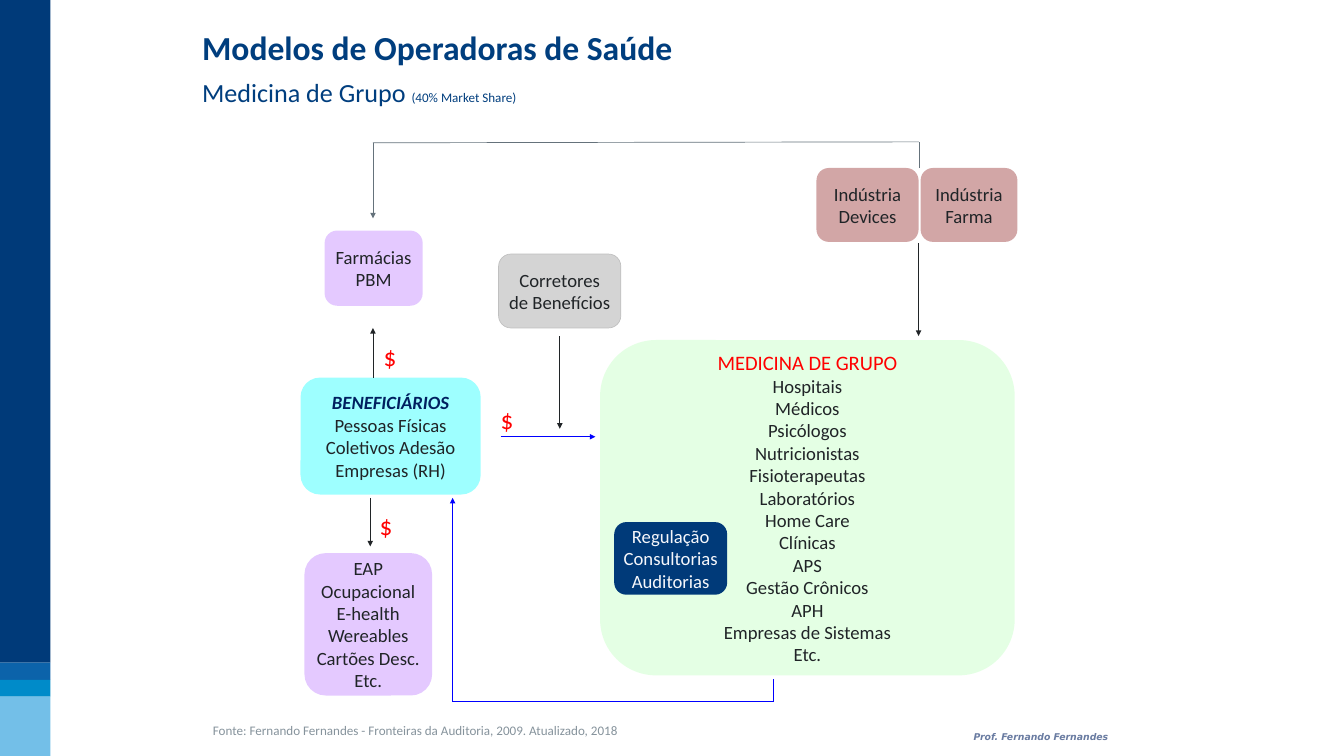
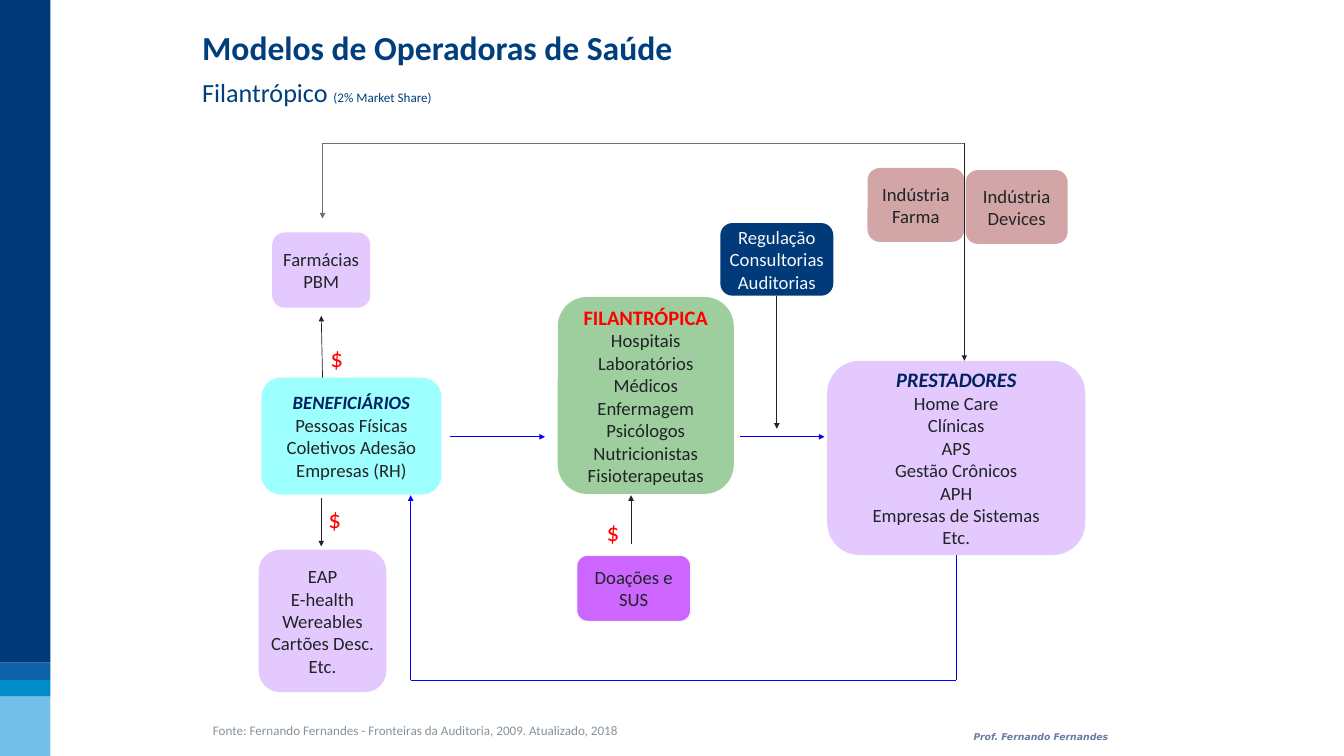
"""Build two slides on health plan operator models as flow diagrams."""
from lxml import etree
from pptx import Presentation
from pptx.dml.color import RGBColor
from pptx.enum.shapes import MSO_CONNECTOR as LINK, MSO_SHAPE as SHAPE
from pptx.enum.text import MSO_ANCHOR as ANCHOR, MSO_AUTO_SIZE as FIT, PP_ALIGN as ALIGN
from pptx.oxml.ns import qn
from pptx.util import Pt

NAVY, TITLE, DEEP = "003A79", "003E7E", "002060"
INK, PALE, GREY = "202427", "F6F7FB", "65727B"
RED, BLUE, LILAC, MAROON = "FF0000", "0000FF", "CC99FF", "800000"


def paint(fill, owner, color, opacity=100):
    fill.solid()
    fill.fore_color.rgb = RGBColor.from_string(color)
    if opacity < 100:
        tint = next(owner.iter(qn("a:srgbClr")))
        etree.SubElement(tint, qn("a:alpha")).set("val", str(opacity * 1000))


def write(paragraph, text, size=20, color=INK, bold=False, italic=False,
          font="Calibri", opacity=100, align=ALIGN.LEFT):
    paragraph.alignment = align
    run = paragraph.add_run()
    run.text = text
    run.font.size = Pt(size)
    run.font.bold = bold
    run.font.italic = italic
    paint(run.font.fill, run._r, color, opacity)
    run.font.name = font


bands = [(0, 710, NAVY), (710, 18.5, "0C63AA"),
         (728.5, 18, "008BC9"), (746.5, 63.5, "73BFE8")]

parts = {
    "members": ("00FFFF", 38, 193, 125.3,
                ["BENEFICIÁRIOS", "Pessoas Físicas", "Coletivos Adesão", "Empresas (RH)"]),
    "group": ("CCFFCC", 52, 444.2, 359.3,
              ["MEDICINA DE GRUPO", "Hospitais", "Médicos", "Psicólogos", "Nutricionistas",
               "Fisioterapeutas", "Laboratórios", "Home Care", "Clínicas", "APS",
               "Gestão Crônicos", "APH", "Empresas de Sistemas", "Etc."]),
    "charity": ("008000", 38, 188.6, 211,
                ["FILANTRÓPICA", "Hospitais", "Laboratórios", "Médicos", "Enfermagem",
                 "Psicólogos", "Nutricionistas", "Fisioterapeutas"]),
    "providers": (LILAC, 52, 276.5, 208.1,
                  ["PRESTADORES", "Home Care", "Clínicas", "APS", "Gestão Crônicos", "APH",
                   "Empresas de Sistemas", "Etc."]),
    "pharma": (MAROON, 35, 103.7, 79.2, ["Indústria", "Farma"]),
    "devices": (MAROON, 35, 109.4, 79.2, ["Indústria", "Devices"]),
    "pharmacies": (LILAC, 52, 105.1, 80.6, ["Farmácias", "PBM"]),
    "occupational": (LILAC, 52, 136.8, 152.6,
                     ["EAP", "Ocupacional", "E-health", "Wereables", "Cartões Desc.", "Etc."]),
    "wellness": (LILAC, 52, 136.8, 152.6,
                 ["EAP", "E-health", "Wereables", "Cartões Desc.", "Etc."]),
    "brokers": ("C0C0C0", 68, 131, 79.2, ["Corretores", "de Benefícios"]),
    "donations": ("CC66FF", 100, 122.4, 71.3, ["Doações e", "SUS"]),
    "regulation": (NAVY, 100, 121, 77.8, ["Regulação", "Consultorias", "Auditorias"]),
}
headings = {
    "members": dict(color=DEEP, bold=True, italic=True),
    "group": dict(size=22, color=RED),
    "charity": dict(size=22, color=RED, bold=True),
    "providers": dict(size=22, color=DEEP, bold=True, italic=True),
}
borders = {"brokers": ("C0C0C0", 0.75), "donations": (PALE, 1.5)}

models = [
    dict(
        name="Medicina de Grupo ", share="(40% Market Share)", width=368,
        places=dict(members=(322, 404.6), group=(643, 364.3), pharma=(986.4, 180),
                    devices=(874.8, 180), pharmacies=(347.8, 247),
                    occupational=(326.2, 592.6), brokers=(534.2, 272.2),
                    regulation=(658.1, 559.4)),
        payments=[(403.9, 362.2), (529.2, 429.8), (399.6, 542.9)],
        flows=[
            (536.4, 468, 637.9, 468, BLUE, True, None),
            (599.8, 360, 599.8, 459.4, INK, True, None),
            (485, 751.7, 485, 533.5, BLUE, True, None),
            (485, 751.7, 828.7, 751.7, BLUE, False, None),
            (828.7, 751.7, 828.7, 728, BLUE, False, None),
            (984.2, 260.6, 984.2, 360, INK, True, None),
            (399.6, 153, 984.6, 152, GREY, False, None),
            (984.6, 180, 984.6, 152, GREY, False, None),
            (399.6, 153, 399.6, 234, GREY, True, None),
            (399.6, 404.6, 399.6, 351.4, INK, True, None),
            (396.7, 533.5, 396.7, 585.4, INK, True, None),
        ]),
    dict(
        name="Filantrópico ", share="(2% Market Share)", width=263.5,
        places=dict(members=(280, 404.6), charity=(597.6, 318.2), pharma=(929.5, 180),
                    devices=(1034.6, 182.2), donations=(617.8, 594.7),
                    providers=(886.3, 386.6), pharmacies=(291.6, 249.1),
                    wellness=(277.2, 589), regulation=(771.8, 239)),
        payments=[(347, 362.9), (643, 550), (344.9, 535.7)],
        flows=[
            (482.4, 468, 583.9, 468, BLUE, True, None),
            (793.4, 468, 883.4, 468, BLUE, True, None),
            (832.3, 316.8, 832.3, 459.4, INK, True, "regulation"),
            (440, 729, 440, 530.6, BLUE, True, None),
            (440, 729, 1024.55, 729, BLUE, False, None),
            (1024.55, 594.7, 1024.55, 729, BLUE, False, "providers"),
            (1033.2, 153.4, 1033.2, 386.6, INK, True, None),
            (345.6, 153.4, 1033.2, 153.4, GREY, False, None),
            (345.6, 153.4, 345.6, 234, GREY, True, None),
            (345.6, 404.6, 344.2, 338.4, INK, True, None),
            (676.1, 583.2, 676.1, 530.6, INK, True, None),
            (344.2, 533.5, 344.2, 585.4, INK, True, None),
        ]),
]

deck = Presentation()
deck.slide_width, deck.slide_height = Pt(1440), Pt(810)

for model in models:
    slide = deck.slides.add_slide(deck.slide_layouts[6])

    for top, height, color in bands:
        band = slide.shapes.add_shape(SHAPE.RECTANGLE, Pt(-0.5), Pt(top), Pt(54.5), Pt(height))
        band.shadow.inherit = False
        band.line.fill.background()
        paint(band.fill, band._element, color)

    boxes = {}
    for part, (left, top) in model["places"].items():
        color, opacity, width, height, lines = parts[part]
        box = slide.shapes.add_shape(SHAPE.ROUNDED_RECTANGLE,
                                     Pt(left), Pt(top), Pt(width), Pt(height))
        box.shadow.inherit = False
        paint(box.fill, box._element, color, opacity)
        if part in borders:
            edge, weight = borders[part]
            box.line.color.rgb = RGBColor.from_string(edge)
            box.line.width = Pt(weight)
        else:
            box.line.fill.background()
        frame = box.text_frame
        frame.word_wrap = False
        frame.vertical_anchor = ANCHOR.MIDDLE
        body = dict(color=PALE if part == "regulation" else INK)
        write(frame.paragraphs[0], lines[0], align=ALIGN.CENTER, **headings.get(part, body))
        for line in lines[1:]:
            write(frame.add_paragraph(), line, align=ALIGN.CENTER, **body)
        boxes[part] = box

    for x1, y1, x2, y2, color, has_arrow, origin in model["flows"]:
        flow = slide.shapes.add_connector(LINK.STRAIGHT, Pt(x1), Pt(y1), Pt(x2), Pt(y2))
        if origin:
            flow.begin_connect(boxes[origin], 2)
        flow.line.color.rgb = RGBColor.from_string(color)
        flow.line.width = Pt(0.75)
        outline = flow._element.spPr
        if has_arrow:
            etree.SubElement(outline.find(qn("a:ln")), qn("a:tailEnd")).set("type", "triangle")
        etree.SubElement(outline, qn("a:effectLst"))

    captions = [
        (209.5, 25.2, 532, 51, [("Modelos de Operadoras de Saúde",
                                 dict(size=36, color=TITLE, bold=True))]),
        (209.5, 78.5, model["width"], 41, [(model["name"], dict(size=28, color=TITLE)),
                                           (model["share"], dict(size=14, color=TITLE))]),
        (221, 770.4, 453, 24.5,
         [("Fonte: Fernando Fernandes - Fronteiras da Auditoria, 2009. Atualizado, 2018",
           dict(size=14, color="86939C"))]),
        (1034.6, 779.8, 161.3, 19.4,
         [("Prof. Fernando Fernandes",
           dict(size=10, color=DEEP, opacity=59, bold=True, italic=True,
                font="DejaVu Sans", align=ALIGN.CENTER))]),
    ]
    for left, top in model["payments"]:
        captions.append((left, top, 24.5, 28.8, [("$", dict(size=27, color=RED))]))
    for left, top, width, height, runs in captions:
        frame = slide.shapes.add_textbox(Pt(left), Pt(top), Pt(width), Pt(height)).text_frame
        frame.word_wrap = False
        frame.auto_size = FIT.SHAPE_TO_FIT_TEXT
        for text, style in runs:
            write(frame.paragraphs[0], text, **style)

deck.save("out.pptx")
